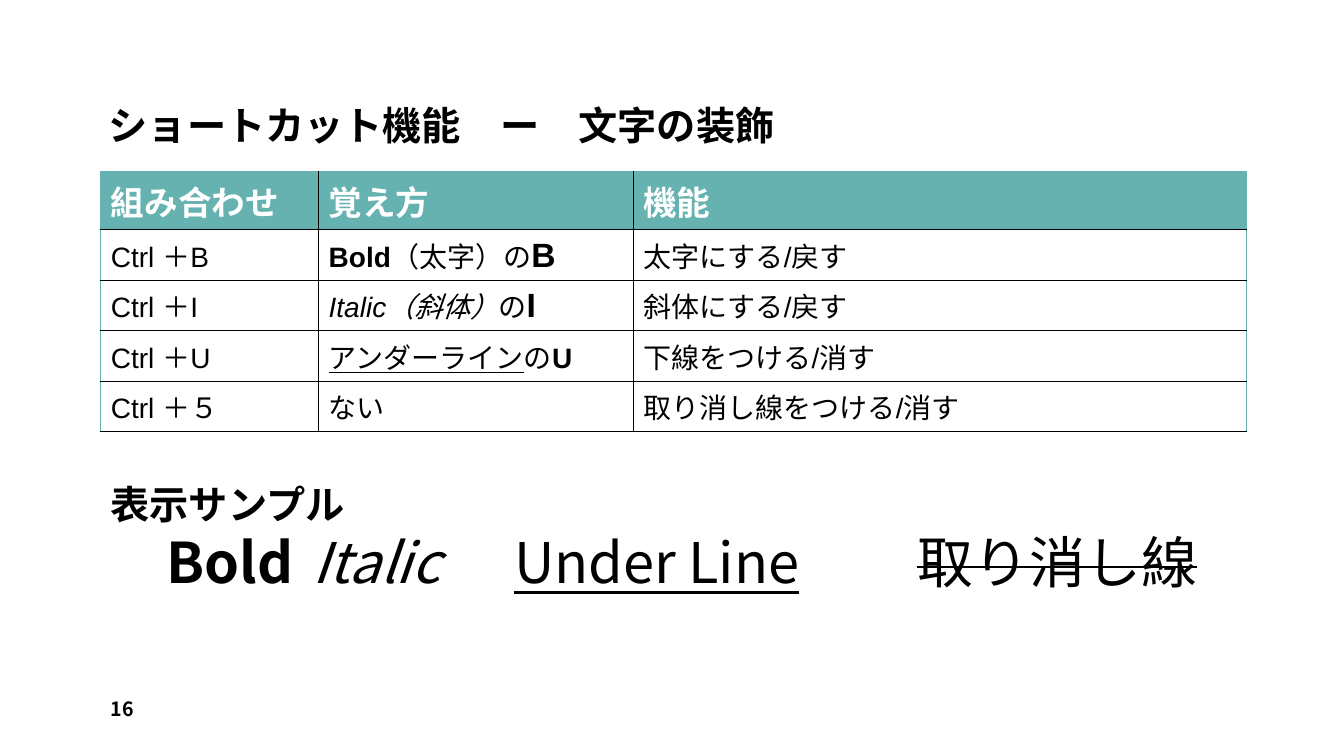
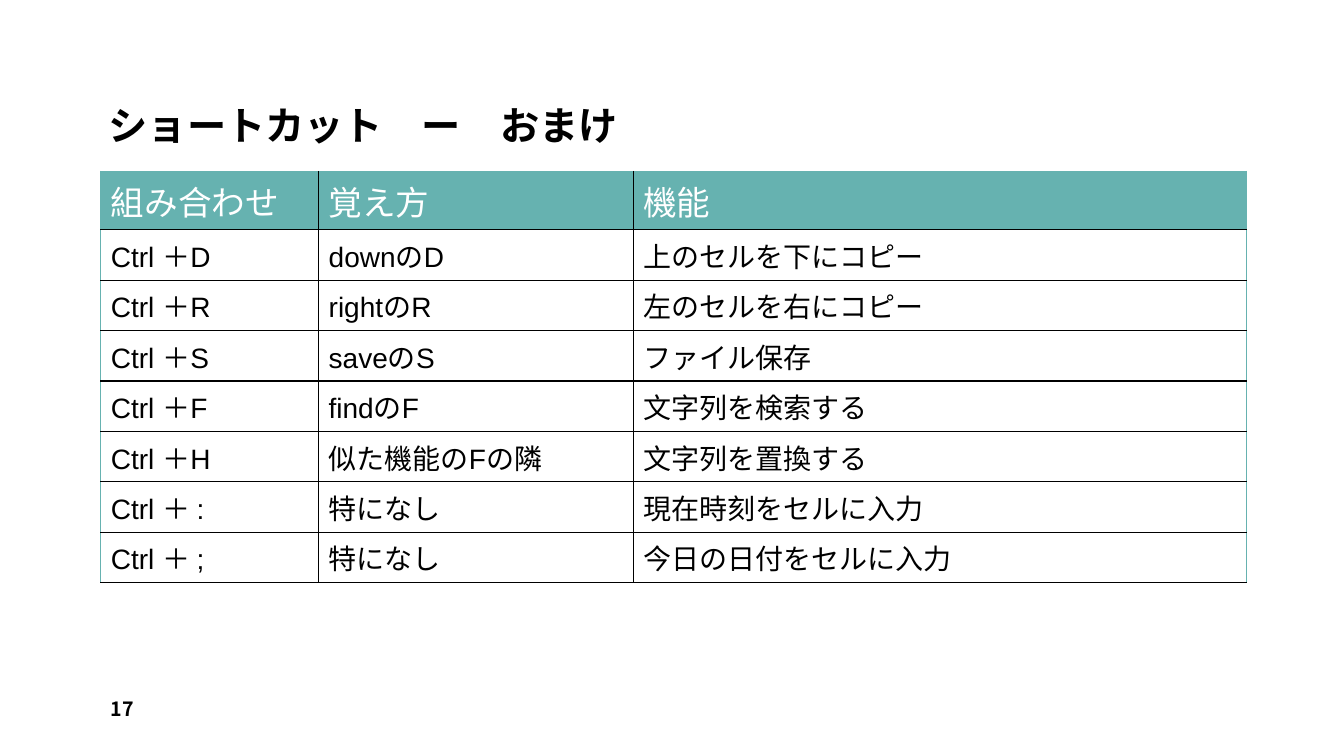
from lxml.etree import SubElement
from pptx import Presentation
from pptx.dml.color import RGBColor
from pptx.enum.text import MSO_ANCHOR as Anchor
from pptx.oxml.ns import qn
from pptx.util import Inches, Pt

BLACK = RGBColor(0, 0, 0)
WHITE = RGBColor(255, 255, 255)
TEAL = RGBColor(0x66, 0xB2, 0xB0)
JAPANESE = "Noto Sans CJK JP"
LATIN = "Arial"

LEFT = 1
COLUMN_WIDTHS = (2.16, 3.12, 6.08)
HEADER_HEIGHT = 0.58
ROW_HEIGHT = 0.5
SAMPLE_TABS = (2, 4, 8)
HEADINGS = ("組み合わせ", "覚え方", "機能")


def write(paragraph, text, size=20, font=LATIN, color=BLACK, bold=False,
          italic=False, underline=False, strike=False):
    run = paragraph.add_run()
    run.text = text
    run.font.size = Pt(size)
    run.font.name = font
    run.font.color.rgb = color
    run.font.bold = bold
    run.font.italic = italic
    run.font.underline = underline
    properties = run.font._element
    if strike:
        properties.set("strike", "sngStrike")
    SubElement(properties, qn("a:ea")).set("typeface", JAPANESE)


def add_frame(slide, left, top, width, height, anchor):
    box = slide.shapes.add_textbox(Inches(left), Inches(top), Inches(width), Inches(height))
    box.text_frame.word_wrap = True
    box.text_frame.vertical_anchor = anchor
    return box.text_frame


bold_large = {"size": 24, "bold": True}
decorations = [
    ("Ctrl ＋B", [("Bold", {"bold": True}), ("（太字）の", {}), ("B", bold_large)], "太字にする/戻す"),
    ("Ctrl ＋I", [("Italic（斜体）", {"italic": True}), ("の", {}), ("I", bold_large)], "斜体にする/戻す"),
    ("Ctrl ＋U", [("アンダーライン", {"underline": True}), ("の", {}), ("U", {"bold": True})],
     "下線をつける/消す"),
    ("Ctrl ＋５", "ない", "取り消し線をつける/消す"),
]
extras = [
    ("Ctrl ＋D", "downのD", "上のセルを下にコピー"),
    ("Ctrl ＋R", "rightのR", "左のセルを右にコピー"),
    ("Ctrl ＋S", "saveのS", "ファイル保存"),
    ("Ctrl ＋F", "findのF", "文字列を検索する"),
    ("Ctrl ＋H", "似た機能のFの隣", "文字列を置換する"),
    ("Ctrl ＋ :", "特になし", "現在時刻をセルに入力"),
    ("Ctrl ＋ ;", "特になし", "今日の日付をセルに入力"),
]
pages = [
    (16, "ショートカット機能　ー　文字の装飾", decorations, True),
    (17, "ショートカット　ー　おまけ", extras, False),
]

prs = Presentation()
prs.slide_width = Inches(13.33)
prs.slide_height = Inches(7.5)
slides = []

for number, title, shortcuts, bold_headings in pages:
    slide = prs.slides.add_slide(prs.slide_layouts[6])
    slides.append(slide)

    heading = add_frame(slide, 0.98, 0.08, 11.38, 1.45, Anchor.BOTTOM).paragraphs[0]
    heading.line_spacing = 0.9
    write(heading, title, size=28, font=JAPANESE, bold=True)

    rows = [HEADINGS, *shortcuts]
    height = HEADER_HEIGHT + ROW_HEIGHT * len(shortcuts)
    table = slide.shapes.add_table(
        len(rows), len(COLUMN_WIDTHS), Inches(LEFT), Inches(1.7),
        Inches(sum(COLUMN_WIDTHS)), Inches(height)).table
    table.horz_banding = False
    for column, width in zip(table.columns, COLUMN_WIDTHS):
        column.width = Inches(width)

    for r, entries in enumerate(rows):
        is_header = r == 0
        table.rows[r].height = Inches(HEADER_HEIGHT if is_header else ROW_HEIGHT)
        style = {"size": 24, "color": WHITE, "bold": bold_headings} if is_header else {}
        for c, entry in enumerate(entries):
            cell = table.cell(r, c)
            parts = [(entry, {})] if isinstance(entry, str) else entry
            for text, emphasis in parts:
                write(cell.text_frame.paragraphs[0], text, **{**style, **emphasis})

            edges = {
                "a:lnL": TEAL if c == 0 else BLACK,
                "a:lnR": TEAL if c == len(entries) - 1 else BLACK,
                "a:lnT": TEAL if is_header else BLACK,
                "a:lnB": BLACK,
            }
            for edge, color in edges.items():
                line = SubElement(cell._tc.get_or_add_tcPr(), qn(edge), w=str(Pt(1)))
                fill = SubElement(line, qn("a:solidFill"))
                SubElement(fill, qn("a:srgbClr"), val=str(color))
            cell.fill.solid()
            cell.fill.fore_color.rgb = TEAL if is_header else WHITE

    page_number = add_frame(slide, LEFT, 6.83, 2.92, 0.4, Anchor.MIDDLE).paragraphs[0]
    write(page_number, str(number), size=14, font=JAPANESE, bold=True)

samples = add_frame(slides[0], LEFT, 4.72, 11.34, 1.25, Anchor.TOP)
write(samples.paragraphs[0], "表示サンプル", size=28, font=JAPANESE, bold=True)
sample_line = samples.add_paragraph()
tab_list = SubElement(sample_line._p.get_or_add_pPr(), qn("a:tabLst"))
for position in SAMPLE_TABS:
    SubElement(tab_list, qn("a:tab"), pos=str(Inches(position)), algn="l")
for text, emphasis in [
    ("　Bold\t", {"bold": True}),
    ("Italic\t", {"italic": True}),
    ("Under Line", {"underline": True}),
    ("\t", {}),
    ("取り消し線", {"strike": True}),
]:
    write(sample_line, text, size=40, font=JAPANESE, **emphasis)

prs.save("out.pptx")
